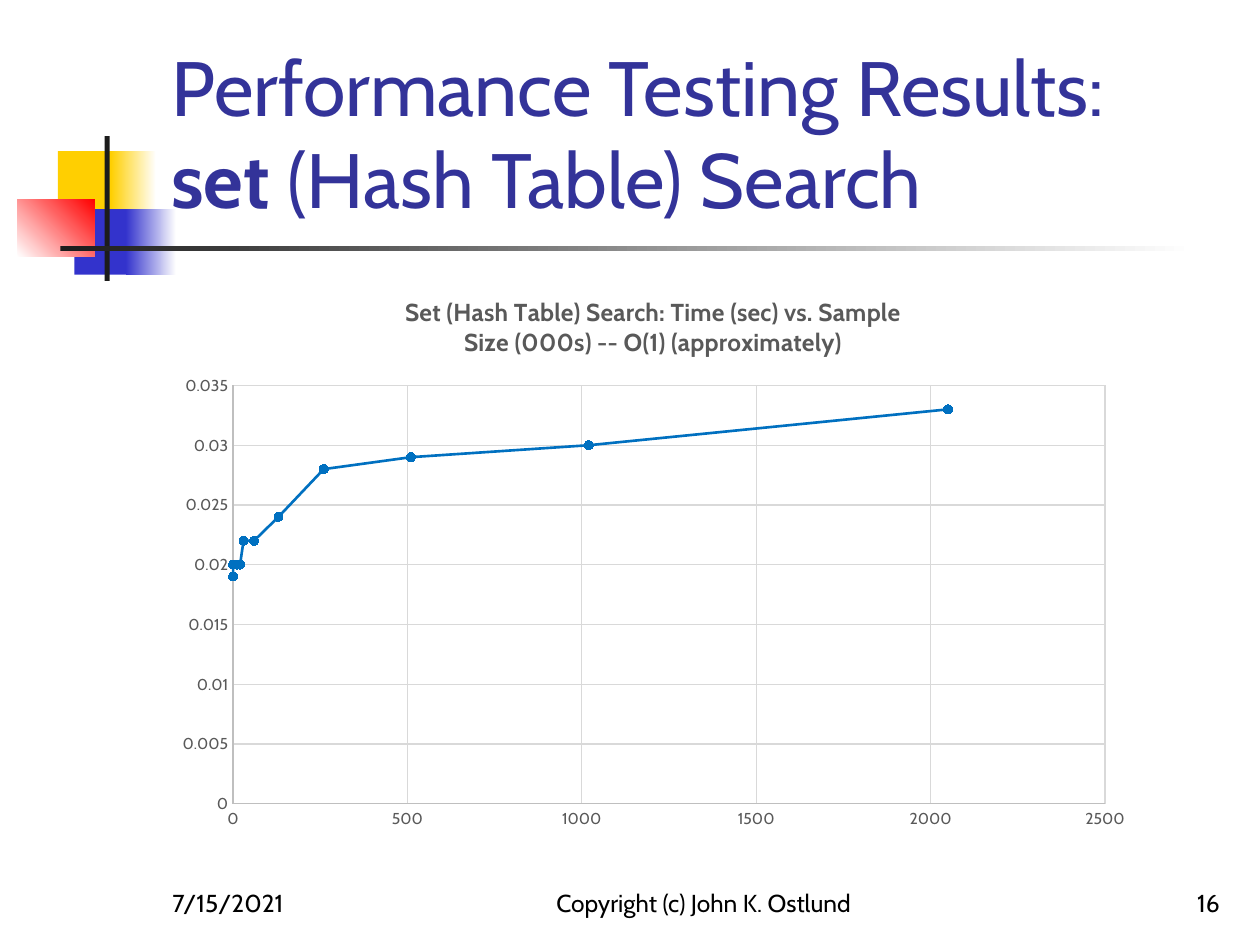
from lxml import etree
from pptx import Presentation
from pptx.chart.data import XyChartData
from pptx.dml.color import RGBColor
from pptx.enum.chart import XL_CHART_TYPE as ChartType, XL_MARKER_STYLE as Marker, XL_TICK_MARK as Tick
from pptx.enum.shapes import MSO_SHAPE as Shape
from pptx.enum.text import MSO_ANCHOR as Anchor, MSO_AUTO_SIZE as AutoSize, PP_ALIGN as Align
from pptx.oxml import parse_xml
from pptx.oxml.ns import nsdecls, qn
from pptx.util import Inches, Pt

FONT = "Cabin"
COLORS = {
    "white": "FFFFFF", "black": "000000", "title": "333399", "yellow": "FFCF01",
    "blue": "3333CC", "red": "FF0000", "dark": "1C1C1C", "label": "595959",
    "axis": "BFBFBF", "grid": "D9D9D9", "series": "0070C0",
}

TITLE = [("Performance Testing Results: ", False), ("set", True), (" (Hash Table) Search", False)]

# left, top, width, height, start colour, end colour (None for solid), angle
DECORATIONS = [
    (0.46, 1.2, 0.48, 0.52, "yellow", None, 0),
    (0.88, 1.2, 0.36, 0.52, "yellow", "white", 0),
    (0.59, 1.66, 0.46, 0.52, "blue", None, 0),
    (1, 1.66, 0.4, 0.52, "blue", "white", 0),
    (0.14, 1.58, 0.61, 0.46, "white", "red", 45),
    (0.83, 1.08, 0.04, 1.15, "dark", None, 0),
    (0.48, 1.95, 9, 0.04, "dark", "white", 0),
]

# text, left, width, alignment
FOOTERS = [
    ("7/15/2021", 1.27, 2.08, Align.LEFT),
    ("Copyright (c) John K. Ostlund", 4, 3.17, Align.CENTER),
    ("16", 7.7, 2.08, Align.RIGHT),
]

CHART_TITLE = ["Set (Hash Table) Search: Time (sec) vs. Sample",
               "Size (000s) -- O(1) (approximately)"]
SAMPLE_SIZES = [0, 0, 0, 10, 20, 30, 60, 130, 260, 510, 1020, 2050]
TIMES = [0.019, 0.019, 0.02, 0.02, 0.02, 0.022, 0.022, 0.024, 0.028, 0.029, 0.03, 0.033]

# left, top, width, height on the slide
CHART_BOX = (1.29, 2.17, 7.79, 4.5)
PLOT_BOX = (1.85, 3.06, 6.92, 3.32)


def color(name):
    return RGBColor.from_string(COLORS[name])


def style_font(font, size, color_name, bold=False):
    font.name = FONT
    font.size = Pt(size)
    font.bold = bold
    font.color.rgb = color(color_name)


def add_runs(paragraph, runs, size, color_name, align):
    paragraph.alignment = align
    for text, bold in runs:
        run = paragraph.add_run()
        run.text = text
        style_font(run.font, size, color_name, bold)


def add_decoration(slide, left, top, width, height, start, end, angle):
    shape = slide.shapes.add_shape(Shape.RECTANGLE, *map(Inches, (left, top, width, height)))
    shape.shadow.inherit = False
    shape.line.fill.background()
    if end is None:
        shape.fill.solid()
        shape.fill.fore_color.rgb = color(start)
        return
    shape.fill.gradient()
    shape.fill.gradient_angle = angle
    for stop, name, position in zip(shape.fill.gradient_stops, (start, end), (0, 1)):
        stop.color.rgb = color(name)
        stop.position = position


def fill_title(title):
    title.left, title.top, title.width, title.height = map(Inches, (1.26, 0.23, 8.52, 1.6))
    frame = title.text_frame
    frame.auto_size = AutoSize.NONE
    frame.word_wrap = True
    frame.vertical_anchor = Anchor.BOTTOM
    add_runs(frame.paragraphs[0], TITLE, 44, "title", Align.LEFT)


def add_footer(slide, text, left, width, align):
    box = slide.shapes.add_textbox(*map(Inches, (left, 6.83, width, 0.5)))
    box.text_frame.word_wrap = True
    box.text_frame.vertical_anchor = Anchor.BOTTOM
    add_runs(box.text_frame.paragraphs[0], [(text, False)], 14, "black", align)


def style_axis(axis, maximum, step):
    axis.minimum_scale, axis.maximum_scale, axis.major_unit = 0, maximum, step
    axis.major_tick_mark = axis.minor_tick_mark = Tick.NONE
    axis.has_major_gridlines = True
    axis.tick_labels.number_format = "General"
    axis.tick_labels.number_format_is_linked = False
    style_font(axis.tick_labels.font, 9, "label")
    for line, name in ((axis.format.line, "axis"), (axis.major_gridlines.format.line, "grid")):
        line.color.rgb = color(name)
        line.width = Pt(0.75)


def place_plot(chart):
    """Fix the inner plot area as fractions of the chart."""
    left, top, width, height = CHART_BOX
    plot_left, plot_top, plot_width, plot_height = PLOT_BOX
    settings = {
        "layoutTarget": "inner", "xMode": "edge", "yMode": "edge",
        "x": (plot_left - left) / width, "y": (plot_top - top) / height,
        "w": plot_width / width, "h": plot_height / height,
    }
    plot_area = chart.plots[0]._element.getparent()
    for old in plot_area.findall(qn("c:layout")):
        plot_area.remove(old)
    layout = parse_xml(f"<c:layout {nsdecls('c')}><c:manualLayout/></c:layout>")
    for tag, value in settings.items():
        etree.SubElement(layout[0], qn(f"c:{tag}")).set("val", str(value))
    plot_area.insert(0, layout)


def add_search_chart(slide):
    data = XyChartData()
    points = data.add_series("Series 1")
    for size, time in zip(SAMPLE_SIZES, TIMES):
        points.add_data_point(size, time)
    chart = slide.shapes.add_chart(
        ChartType.XY_SCATTER_LINES, *map(Inches, CHART_BOX), data).chart
    style_font(chart.font, 10, "black")
    chart.has_legend = False
    chart.has_title = True
    frame = chart.chart_title.text_frame
    for index, line in enumerate(CHART_TITLE):
        paragraph = frame.add_paragraph() if index else frame.paragraphs[0]
        add_runs(paragraph, [(line, True)], 14, "label", Align.CENTER)
    chart.chart_title.include_in_layout = False

    style_axis(chart.category_axis, 2500, 500)
    style_axis(chart.value_axis, 0.035, 0.005)
    chart.plots[0].vary_by_categories = False
    series = chart.plots[0].series[0]
    series.smooth = False
    series.format.line.color.rgb = color("series")
    series.format.line.width = Pt(1.5)
    series.marker.style = Marker.CIRCLE
    series.marker.size = 5
    series.marker.format.fill.solid()
    series.marker.format.fill.fore_color.rgb = color("series")
    series.marker.format.line.color.rgb = color("series")
    place_plot(chart)


def main():
    presentation = Presentation()
    presentation.slide_width, presentation.slide_height = Inches(10), Inches(7.5)
    slide = presentation.slides.add_slide(presentation.slide_layouts[5])
    slide.background.fill.solid()
    slide.background.fill.fore_color.rgb = color("white")
    for decoration in DECORATIONS:
        add_decoration(slide, *decoration)
    fill_title(slide.shapes.title)
    # Bring the title in front of the decorations
    slide.shapes._spTree.append(slide.shapes.title._element)
    for footer in FOOTERS:
        add_footer(slide, *footer)
    add_search_chart(slide)
    presentation.save("out.pptx")


if __name__ == "__main__":
    main()
